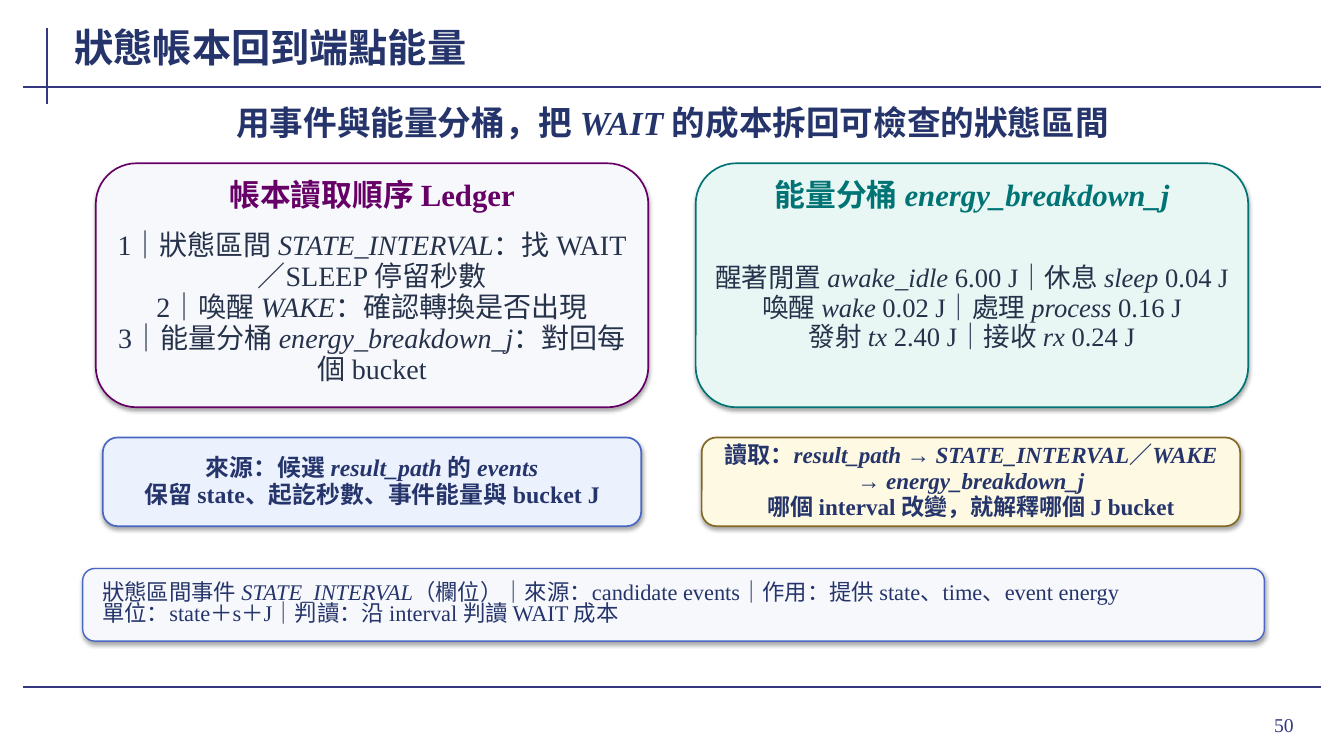
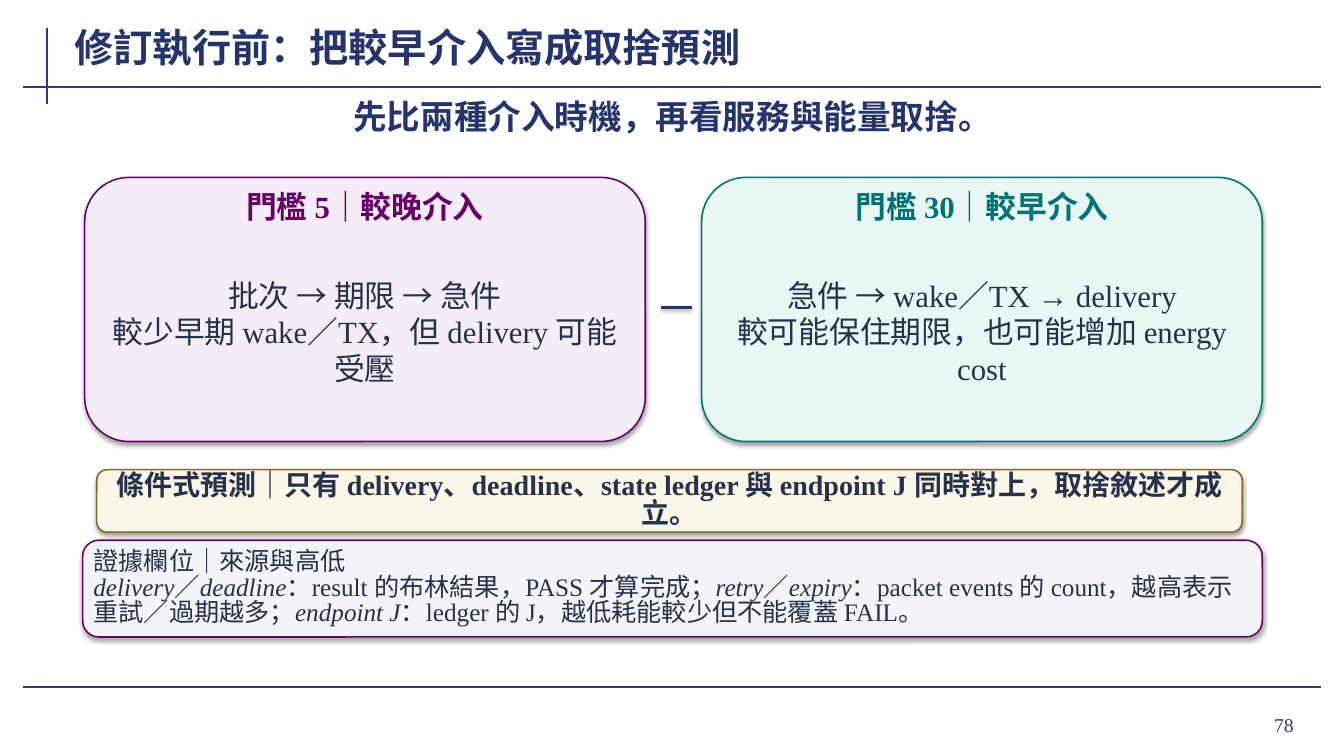
import dataclasses

import pptx
import pptx.dml.color
import pptx.enum.shapes
import pptx.enum.text
import pptx.oxml
import pptx.oxml.ns
import pptx.util

Inches = pptx.util.Inches
Pt = pptx.util.Pt
Align = pptx.enum.text.PP_ALIGN


@dataclasses.dataclass(frozen=True)
class Theme:
    font: str = "Times New Roman"
    rule: str = "35377F"
    navy: str = "25356B"
    ink: str = "25324A"
    purple: str = "660066"
    teal: str = "007374"
    blue: str = "4967C2"
    brown: str = "846826"
    pale: str = "F7F8FC"
    pale_gray: str = "F2F4F8"
    pale_purple: str = "F4EDF7"
    pale_teal: str = "E8F7F4"
    pale_blue: str = "ECF1FE"
    pale_yellow: str = "FDF9E2"
    pale_cream: str = "FAF7E8"
    title_size: float = 28
    lead_size: float = 24
    heading_size: float = 22
    number_size: float = 14


@dataclasses.dataclass(frozen=True)
class CardStyle:
    top: float
    width: float
    height: float
    border: float
    heading: tuple
    body: tuple
    insets: tuple
    spacing: float


THEME = Theme()
LEDGER_CARD = CardStyle(1.62, 5.48, 2.42, 1.2, (0.1, 0.12, 0.38), (0.14, 0.58, 1.72), (0.02, 0.01), 0.92)
CHOICE_CARD = CardStyle(1.76, 5.56, 2.62, 1.1, (0.14, 0.08, 0.42), (0.15, 0.54, 1.98), (0.08, 0.04), 1.0)


def rgb(value):
    return pptx.dml.color.RGBColor.from_string(value)


def write(shape, lines, size, color, bold=False, align=Align.CENTER, spacing=1.0, insets=(0.02, 0)):
    """Fill a shape with lines of text; asterisks enclose italic words."""
    frame = shape.text_frame
    frame.word_wrap = True
    frame.vertical_anchor = pptx.enum.text.MSO_ANCHOR.MIDDLE
    frame.margin_left = frame.margin_right = Inches(insets[0])
    frame.margin_top = frame.margin_bottom = Inches(insets[1])
    for index, line in enumerate(lines):
        para = frame.add_paragraph() if index else frame.paragraphs[0]
        para.alignment = align
        para.line_spacing = spacing
        para.font.name = THEME.font
        para.font.size = Pt(size)
        para.font.bold = bold
        para.font.color.rgb = rgb(color)
        for position, words in enumerate(line.split("*")):
            if words:
                span = para.add_run()
                span.text = words
                if position % 2:
                    span.font.italic = True


def add_text(page, box, lines, size, color, grow=True, **style):
    shape = page.shapes.add_textbox(*map(Inches, box))
    write(shape, lines, size, color, **style)
    if grow:
        shape.text_frame.auto_size = pptx.enum.text.MSO_AUTO_SIZE.SHAPE_TO_FIT_TEXT


def add_shadow(shape, distance=1.8, opacity=35):
    effects = pptx.oxml.parse_xml(
        f'<a:effectLst {pptx.oxml.ns.nsdecls("a")}>'
        f'<a:outerShdw blurRad="{Pt(3.1)}" dist="{Pt(distance)}" dir="5400000" rotWithShape="0">'
        f'<a:srgbClr val="000000"><a:alpha val="{opacity * 1000}"/></a:srgbClr>'
        "</a:outerShdw></a:effectLst>"
    )
    shape._element.spPr.append(effects)


def add_line(page, start, end, color, width):
    line = page.shapes.add_connector(
        pptx.enum.shapes.MSO_CONNECTOR.STRAIGHT, *map(Inches, start + end)
    )
    line.line.color.rgb = rgb(color)
    line.line.width = Pt(width)
    return line


def add_rule(page, start, end):
    line = add_line(page, start, end, THEME.rule, 1.5)
    line._element.spPr.append(pptx.oxml.parse_xml(f'<a:effectLst {pptx.oxml.ns.nsdecls("a")}/>'))


def add_panel(page, box, fill, border, width):
    panel = page.shapes.add_shape(
        pptx.enum.shapes.MSO_SHAPE.ROUNDED_RECTANGLE, *map(Inches, box)
    )
    panel.fill.solid()
    panel.fill.fore_color.rgb = rgb(fill)
    panel.line.color.rgb = rgb(border)
    panel.line.width = Pt(width)
    add_shadow(panel)
    return panel


def add_card(page, style, left, fill, accent, heading, lines, size):
    add_panel(page, (left, style.top, style.width, style.height), fill, accent, style.border)

    def inner(area):
        inset, drop, height = area
        return left + inset, style.top + drop, style.width - 2 * inset, height

    add_text(page, inner(style.heading), [heading], THEME.heading_size, accent,
             bold=True, insets=style.insets)
    add_text(page, inner(style.body), lines, size, THEME.ink,
             spacing=style.spacing, insets=style.insets)


def add_page(deck, title, number):
    page = deck.slides.add_slide(deck.slide_layouts[6])
    add_rule(page, (0.47, 0.28), (0.47, 1.03))
    for height in (0.86, 6.82):
        add_rule(page, (0.23, height), (13.1, height))
    add_text(page, (11.96, 6.93, 0.97, 0.52), [number], THEME.number_size, THEME.rule,
             grow=False, align=Align.RIGHT, insets=(0.1, 0.05))
    add_text(page, (0.72, 0.2, 10.35, 0.53), [title], THEME.title_size, THEME.navy,
             grow=False, bold=True, align=Align.LEFT)
    return page


def add_lead(page, box, line):
    add_text(page, box, [line], THEME.lead_size, THEME.navy, bold=True)


def build_ledger(deck):
    page = add_page(deck, "狀態帳本回到端點能量", "50")
    add_lead(page, (0.98, 1, 11.38, 0.42), "用事件與能量分桶，把 *WAIT* 的成本拆回可檢查的狀態區間")
    add_card(page, LEDGER_CARD, 0.95, THEME.pale, THEME.purple, "帳本讀取順序 Ledger", [
        "1｜狀態區間 *STATE_INTERVAL*：找 WAIT／SLEEP 停留秒數",
        "2｜喚醒 *WAKE*：確認轉換是否出現",
        "3｜能量分桶 *energy_breakdown_j*：對回每個 bucket",
    ], 20)
    add_card(page, LEDGER_CARD, 6.9, THEME.pale_teal, THEME.teal, "能量分桶 *energy_breakdown_j*", [
        "醒著閒置 *awake_idle* 6.00 J｜休息 *sleep* 0.04 J",
        "喚醒 *wake* 0.02 J｜處理 *process* 0.16 J",
        "發射 *tx* 2.40 J｜接收 *rx* 0.24 J",
    ], 19)
    notes = [
        (1.02, THEME.pale_blue, THEME.blue, 17, [
            "來源：候選 *result_path* 的 *events*",
            "保留 state、起訖秒數、事件能量與 bucket J",
        ]),
        (6.96, THEME.pale_yellow, THEME.brown, 16.5, [
            "讀取：*result_path* → *STATE_INTERVAL*／*WAKE* → *energy_breakdown_j*",
            "哪個 interval 改變，就解釋哪個 J bucket",
        ]),
    ]
    for left, fill, border, size, lines in notes:
        panel = add_panel(page, (left, 4.34, 5.34, 0.88), fill, border, 1.2)
        write(panel, lines, size, THEME.navy, bold=True, spacing=0.94, insets=(0.1, 0.04))
    field = add_panel(page, (0.82, 5.64, 11.72, 0.72), THEME.pale, THEME.blue, 1)
    write(field, [
        "狀態區間事件 *STATE_INTERVAL*（欄位）｜來源：candidate events｜作用：提供 state、time、event energy",
        "單位：state＋s＋J｜判讀：沿 interval 判讀 WAIT 成本",
    ], 16, THEME.navy, align=Align.LEFT, spacing=0.78, insets=(0.16, 0.02))


def build_forecast(deck):
    page = add_page(deck, "修訂執行前：把較早介入寫成取捨預測", "78")
    add_lead(page, (0.82, 0.93, 11.7, 0.45), "先比兩種介入時機，再看服務與能量取捨。")
    add_card(page, CHOICE_CARD, 0.84, THEME.pale_purple, THEME.purple, "門檻 5｜較晚介入", [
        "批次 → 期限 → 急件",
        "較少早期 wake／TX，但 delivery 可能受壓",
    ], 22)
    link = add_line(page, (6.56, 3.05), (6.86, 3.05), THEME.navy, 2)
    add_shadow(link, distance=1.6, opacity=38)
    add_card(page, CHOICE_CARD, 6.96, THEME.pale_teal, THEME.teal, "門檻 30｜較早介入", [
        "急件 → wake／TX → delivery",
        "較可能保住期限，也可能增加 energy cost",
    ], 22)
    forecast = add_panel(page, (0.96, 4.66, 11.36, 0.62), THEME.pale_cream, THEME.brown, 1.1)
    write(forecast, [
        "條件式預測｜只有 delivery、deadline、state ledger 與 endpoint J 同時對上，取捨敘述才成立。",
    ], 20, THEME.ink, bold=True, spacing=0.84, insets=(0.08, 0.02))
    evidence = add_panel(page, (0.82, 5.36, 11.7, 0.96), THEME.pale_gray, THEME.purple, 1.1)
    write(evidence, [
        "證據欄位｜來源與高低",
        "*delivery*／*deadline*：result 的布林結果，PASS 才算完成；"
        "*retry*／*expiry*：packet events 的 count，越高表示重試／過期越多；"
        "*endpoint J*：ledger 的 J，越低耗能較少但不能覆蓋 FAIL。",
    ], 18, THEME.ink, align=Align.LEFT, spacing=0.84, insets=(0.06, 0.02))


def main():
    deck = pptx.Presentation()
    deck.slide_width = Inches(13.33)
    deck.slide_height = Inches(7.5)
    build_ledger(deck)
    build_forecast(deck)
    deck.save("out.pptx")


if __name__ == "__main__":
    main()
